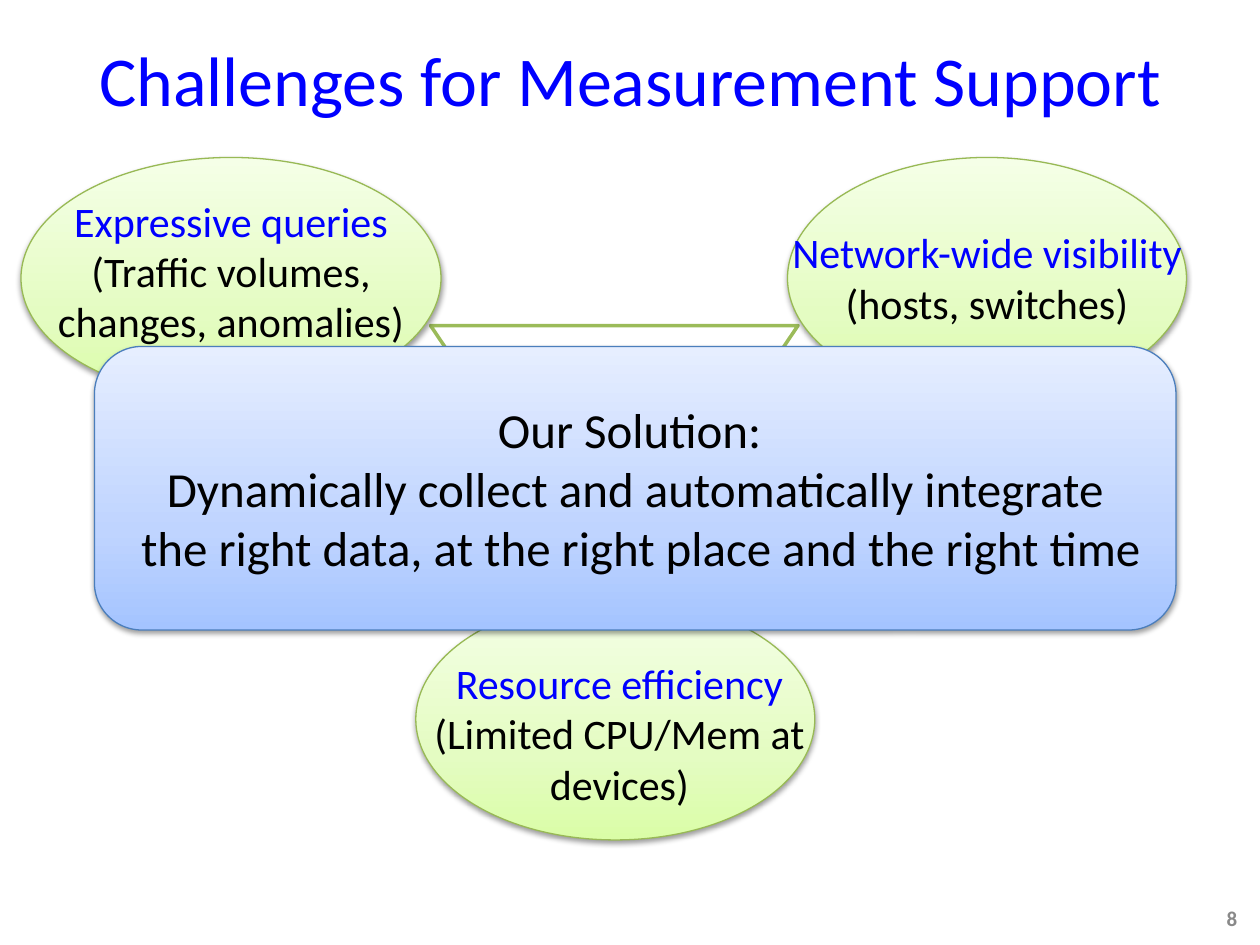
from dataclasses import dataclass

from lxml import etree
from pptx import Presentation
from pptx.dml.color import RGBColor
from pptx.enum.shapes import MSO_SHAPE
from pptx.enum.text import MSO_ANCHOR, PP_ALIGN
from pptx.oxml.ns import qn
from pptx.util import Emu, Pt

ELLIPSE, TRIANGLE, ROUNDED = MSO_SHAPE.OVAL, MSO_SHAPE.ISOSCELES_TRIANGLE, MSO_SHAPE.ROUNDED_RECTANGLE
TOP, MIDDLE = MSO_ANCHOR.TOP, MSO_ANCHOR.MIDDLE
CENTER, RIGHT = PP_ALIGN.CENTER, PP_ALIGN.RIGHT

PX = 7620  # 120 px to the inch
BLUE, BLACK, GRAY, WHITE = "0000FF", "000000", "898989", "FFFFFF"
GREENS = ((0, "DAFDA7"), (35, "E4FCC2"), (100, "F5FFE7"))
BLUES = ((0, "A4C4FF"), (35, "BFD4FF"), (100, "E6EEFF"))


@dataclass
class Area:
    left: int
    top: int
    width: int
    height: int

    def emu(self) -> list[Emu]:
        return [Emu(n * PX) for n in (self.left, self.top, self.width, self.height)]


@dataclass
class Line:
    text: str
    size: int
    color: str = BLACK
    bold: bool = False


@dataclass
class Challenge:
    ellipse: Area
    label: Area
    heading: str
    detail: str


CHALLENGES = [
    Challenge(Area(396, 570, 380, 230), Area(350, 620, 480, 157),
              "Resource efficiency", "(Limited CPU/Mem at devices)"),
    Challenge(Area(20, 150, 400, 230), Area(20, 180, 400, 206),
              "Expressive queries", "(Traffic volumes, changes, anomalies)"),
    Challenge(Area(750, 150, 380, 230), Area(740, 210, 400, 109),
              "Network-wide visibility", "(hosts, switches)"),
]


def rgb(color: str) -> RGBColor:
    return RGBColor.from_string(color)


def write(box, lines: list[Line], align=CENTER, anchor=TOP) -> None:
    frame = box.text_frame
    frame.word_wrap = True
    frame.vertical_anchor = anchor
    for index, line in enumerate(lines):
        para = frame.add_paragraph() if index else frame.paragraphs[0]
        para.alignment = align
        span = para.add_run()
        span.text = line.text
        span.font.color.rgb = rgb(line.color)
        values = {"name": "Calibri", "size": Pt(line.size), "bold": line.bold}
        for name, value in values.items():
            setattr(span.font, name, value)


def add_outlined(shapes, kind, area: Area, color: str, width: float):
    shape = shapes.add_shape(kind, *area.emu())
    shape.shadow.inherit = False
    shape.line.color.rgb = rgb(color)
    shape.line.width = Pt(width)
    return shape


def add_glossy(shapes, kind, area: Area, stops, line_color: str):
    """Draw a shape with an upward gradient and a soft shadow below."""
    shape = add_outlined(shapes, kind, area, line_color, 0.75)
    shape.fill.gradient()
    shape.fill.gradient_angle = 90
    properties = shape.element.spPr
    stop_list = properties.find(".//" + qn("a:gsLst"))
    for old_stop in list(stop_list):
        stop_list.remove(old_stop)
    for position, color in stops:
        stop = etree.SubElement(stop_list, qn("a:gs"), pos=str(position * 1000))
        etree.SubElement(stop, qn("a:srgbClr"), val=color)
    shadow = etree.SubElement(properties.find(qn("a:effectLst")), qn("a:outerShdw"),
                              blurRad="40000", dist="20000", dir="5400000", rotWithShape="0")
    shade = etree.SubElement(shadow, qn("a:srgbClr"), val=BLACK)
    etree.SubElement(shade, qn("a:alpha"), val="38000")
    return shape


def add_challenge(page, challenge: Challenge) -> None:
    shapes = page.shapes.add_group_shape().shapes
    add_glossy(shapes, ELLIPSE, challenge.ellipse, GREENS, "98B955")
    label = shapes.add_textbox(*challenge.label.emu())
    write(label, [Line(challenge.heading, 24, BLUE), Line(challenge.detail, 24)])


def main() -> None:
    deck = Presentation()
    deck.slide_width, deck.slide_height = Emu(1200 * PX), Emu(900 * PX)
    page = deck.slides.add_slide(deck.slide_layouts[5])

    # Title and page number
    title = page.shapes.title
    title.left, title.top, title.width, title.height = Area(0, 0, 1200, 150).emu()
    write(title, [Line("Challenges for Measurement Support", 40, BLUE)], anchor=MIDDLE)
    number = page.shapes.add_textbox(*Area(910, 850, 280, 48).emu())
    write(number, [Line("8", 12, GRAY, True)], RIGHT, MIDDLE)

    # Triangle linking the three challenges
    triangle = add_outlined(page.shapes, TRIANGLE, Area(410, 310, 350, 260), "9BBB59", 2)
    triangle.rotation = 180
    triangle.fill.solid()
    triangle.fill.fore_color.rgb = rgb(WHITE)

    for challenge in CHALLENGES:
        add_challenge(page, challenge)

    # Solution banner
    banner = add_glossy(page.shapes, ROUNDED, Area(90, 330, 1030, 270), BLUES, "4B7EBC")
    write(banner, [
        Line("Our Solution: ", 28),
        Line("Dynamically collect and automatically integrate", 28),
        Line(" the right data, at the right place and the right time", 28),
    ], anchor=MIDDLE)

    deck.save("out.pptx")


if __name__ == "__main__":
    main()
